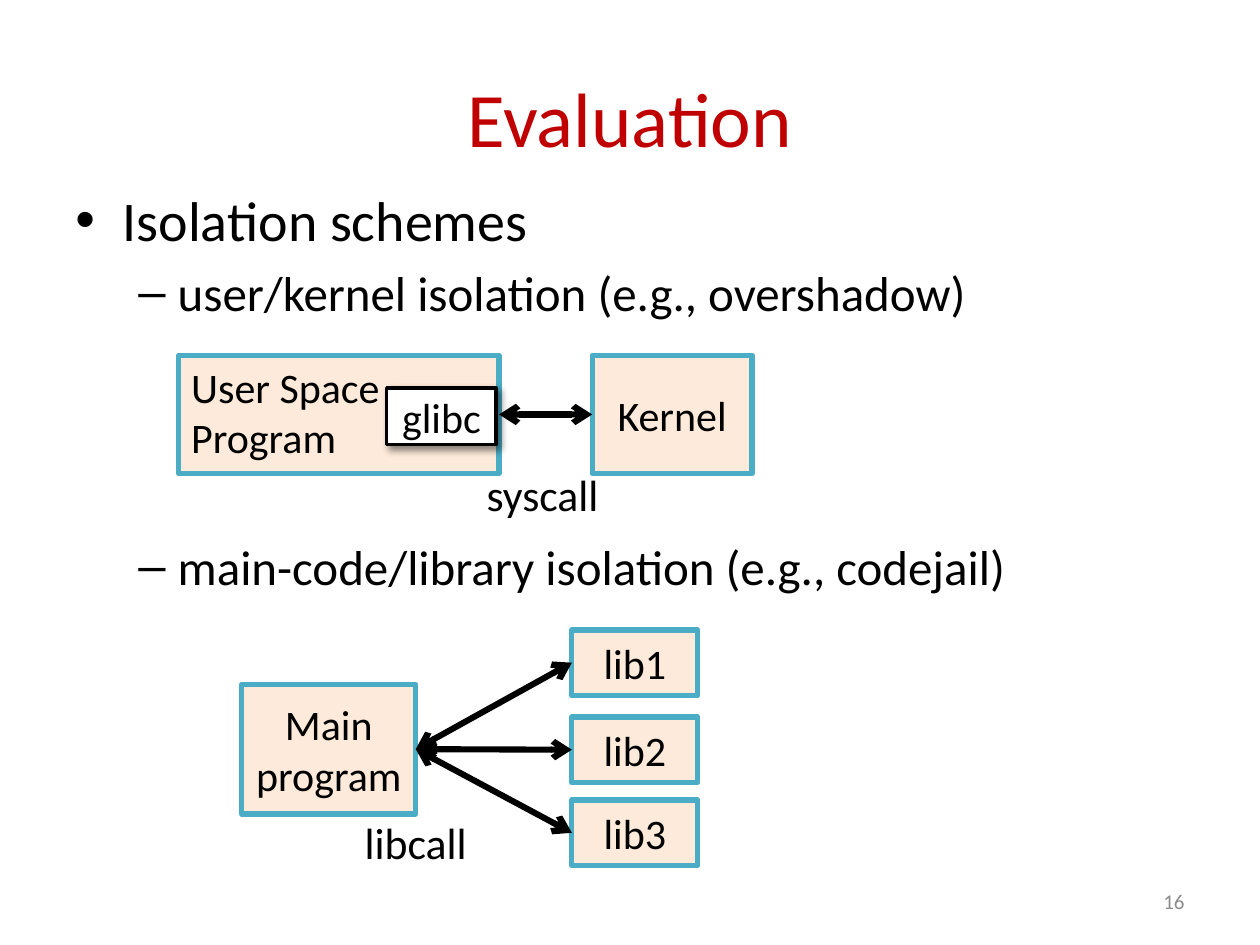
import collections

import pptx
import pptx.dml.color
import pptx.enum.shapes
import pptx.enum.text
import pptx.oxml
import pptx.oxml.ns
import pptx.util
from lxml import etree

Pt = pptx.util.Pt
Align = pptx.enum.text.PP_ALIGN
Anchor = pptx.enum.text.MSO_ANCHOR
Box = collections.namedtuple("Box", "left top width height")


class Theme:
    """Colours, font and type sizes of the slide."""
    font = "Calibri"
    title, ink, muted = "C00000", "000000", "8C8C8C"
    fill, line, plain = "FDEADA", "4BACC6", "FFFFFF"
    title_size, head_size, item_size = 44, 32, 28
    label_size, node_size, number_size = 25, 24, 12


def rgb(value):
    """Return the colour for a hex value."""
    return pptx.dml.color.RGBColor.from_string(value)


def inside(box, left, top, width, height):
    """Return a box placed relative to the corner of another."""
    return Box(box.left + left, box.top + top, width, height)


def add_xml(parent, tag, **attributes):
    """Append a drawing element and return it."""
    return etree.SubElement(parent, pptx.oxml.ns.qn(tag), attributes)


def write(para, text, size, color=Theme.ink, align=Align.LEFT):
    """Add one run of text to a paragraph."""
    para.alignment = align
    span = para.add_run()
    span.text = text
    span.font.name = Theme.font
    span.font.size = Pt(size)
    span.font.color.rgb = rgb(color)


def add_text(shapes, box, anchor=Anchor.TOP):
    """Add an empty wrapping text box and return its frame."""
    frame = shapes.add_textbox(*map(Pt, box)).text_frame
    frame.word_wrap = True
    frame.vertical_anchor = anchor
    return frame


def add_line_of_text(shapes, box, text, size, color, align):
    """Add a single vertically centred line of text."""
    frame = add_text(shapes, box, Anchor.MIDDLE)
    write(frame.paragraphs[0], text, size, color, align)


def add_bullets(shapes, box):
    """Add the bulleted outline."""
    items = [
        ("Isolation schemes", "•", 0, 27, 27, Theme.head_size, 0),
        ("user/kernel isolation (e.g., overshadow)", "–", 1, 58.5, 22.5, Theme.item_size, 5.6),
        ("main-code/library isolation (e.g., codejail)", "–", 1, 58.5, 22.5, Theme.item_size, 123),
    ]
    frame = add_text(shapes, box)
    for index, (text, mark, level, margin, hang, size, before) in enumerate(items):
        para = frame.add_paragraph() if index else frame.paragraphs[0]
        para.level = level
        properties = para._p.get_or_add_pPr()
        properties.set("marL", str(Pt(margin)))
        properties.set("indent", str(-Pt(hang)))
        add_xml(properties, "a:buFont", typeface="Arial")
        add_xml(properties, "a:buChar", char=mark)
        para.space_before = Pt(before)
        write(para, text, size)


def add_node(shapes, box, text, fill=Theme.fill, line=Theme.line, width=3,
             align=Align.CENTER, anchor=Anchor.MIDDLE):
    """Add a labelled rectangle and return it."""
    node = shapes.add_shape(pptx.enum.shapes.MSO_SHAPE.RECTANGLE, *map(Pt, box))
    node.shadow.inherit = False
    node.fill.solid()
    node.fill.fore_color.rgb = rgb(fill)
    node.line.color.rgb = rgb(line)
    node.line.width = Pt(width)
    frame = node.text_frame
    frame.word_wrap = True
    frame.vertical_anchor = anchor
    write(frame.paragraphs[0], text, Theme.node_size, align=align)
    return node


def add_inner_node(shapes, box, text):
    """Add a plain rectangle with a soft shadow and no text margins."""
    node = add_node(shapes, box, text, Theme.plain, Theme.ink, 2)
    frame = node.text_frame
    frame.margin_left = frame.margin_right = frame.margin_top = frame.margin_bottom = 0
    effects = node._element.spPr.find(pptx.oxml.ns.qn("a:effectLst"))
    shadow = add_xml(effects, "a:outerShdw", blurRad=str(Pt(4)), dist=str(Pt(3)),
                     dir="2700000", algn="tl", rotWithShape="0")
    add_xml(add_xml(shadow, "a:srgbClr", val=Theme.ink), "a:alpha", val="43000")


def add_arrow(shapes, start, end):
    """Join the right side of one node to the left side of another."""
    arrow = shapes.add_connector(
        pptx.enum.shapes.MSO_CONNECTOR.STRAIGHT,
        start.left + start.width, start.top + start.height // 2,
        end.left, end.top + end.height // 2)
    arrow.line.color.rgb = rgb(Theme.ink)
    arrow.line.width = Pt(3.5)
    outline = arrow.line._get_or_add_ln()
    for tag in ("a:headEnd", "a:tailEnd"):
        add_xml(outline, tag, type="arrow")
    add_xml(arrow._element.spPr, "a:effectLst")


def add_label(shapes, box, text):
    """Add an unwrapped caption for arrows."""
    frame = add_text(shapes, box)
    frame.word_wrap = False
    frame.margin_left = frame.margin_right = Pt(6)
    frame.margin_top = frame.margin_bottom = Pt(3)
    write(frame.paragraphs[0], text, Theme.label_size)


def add_kernel_diagram(page, box):
    """Draw the user and kernel isolation scheme."""
    shapes = page.shapes.add_group_shape().shapes
    program = add_node(shapes, inside(box, 0, 0, 183, 67.7), "User Space Program",
                       align=Align.LEFT, anchor=Anchor.TOP)
    kernel = add_node(shapes, inside(box, 236.2, 0, 91.4, 67.7), "Kernel")
    add_arrow(shapes, program, kernel)
    add_inner_node(shapes, inside(box, 118.8, 18.7, 62.6, 32.4), "glibc")
    add_label(shapes, inside(box, 169.9, 61.2, 76.3, 36), "syscall")


def add_library_diagram(page, box):
    """Draw the main code and library isolation scheme."""
    shapes = page.shapes.add_group_shape().shapes
    program = add_node(shapes, inside(box, 0, 31, 99.4, 74.2), "Main program")
    for number, top in enumerate((0, 49.7, 97.2), 1):
        library = add_node(shapes, inside(box, 188.6, top, 72, 37.4), f"lib{number}")
        add_arrow(shapes, program, library)
    add_label(shapes, inside(box, 64.1, 103, 70.6, 36), "libcall")


def main():
    """Build and save the slide."""
    deck = pptx.Presentation()
    deck.slide_width, deck.slide_height = Pt(720), Pt(540)
    page = deck.slides.add_slide(deck.slide_layouts[6])
    add_line_of_text(page.shapes, Box(36, 21.6, 648, 90), "Evaluation",
                     Theme.title_size, Theme.title, Align.CENTER)
    add_bullets(page.shapes, Box(36, 102.2, 648, 356.4))
    add_line_of_text(page.shapes, Box(516, 500.5, 168, 28.8), "16",
                     Theme.number_size, Theme.muted, Align.RIGHT)
    add_kernel_diagram(page, Box(102.2, 203, 327.6, 97.2))
    add_library_diagram(page, Box(138.2, 360, 260.6, 139))
    deck.save("out.pptx")


if __name__ == "__main__":
    main()
